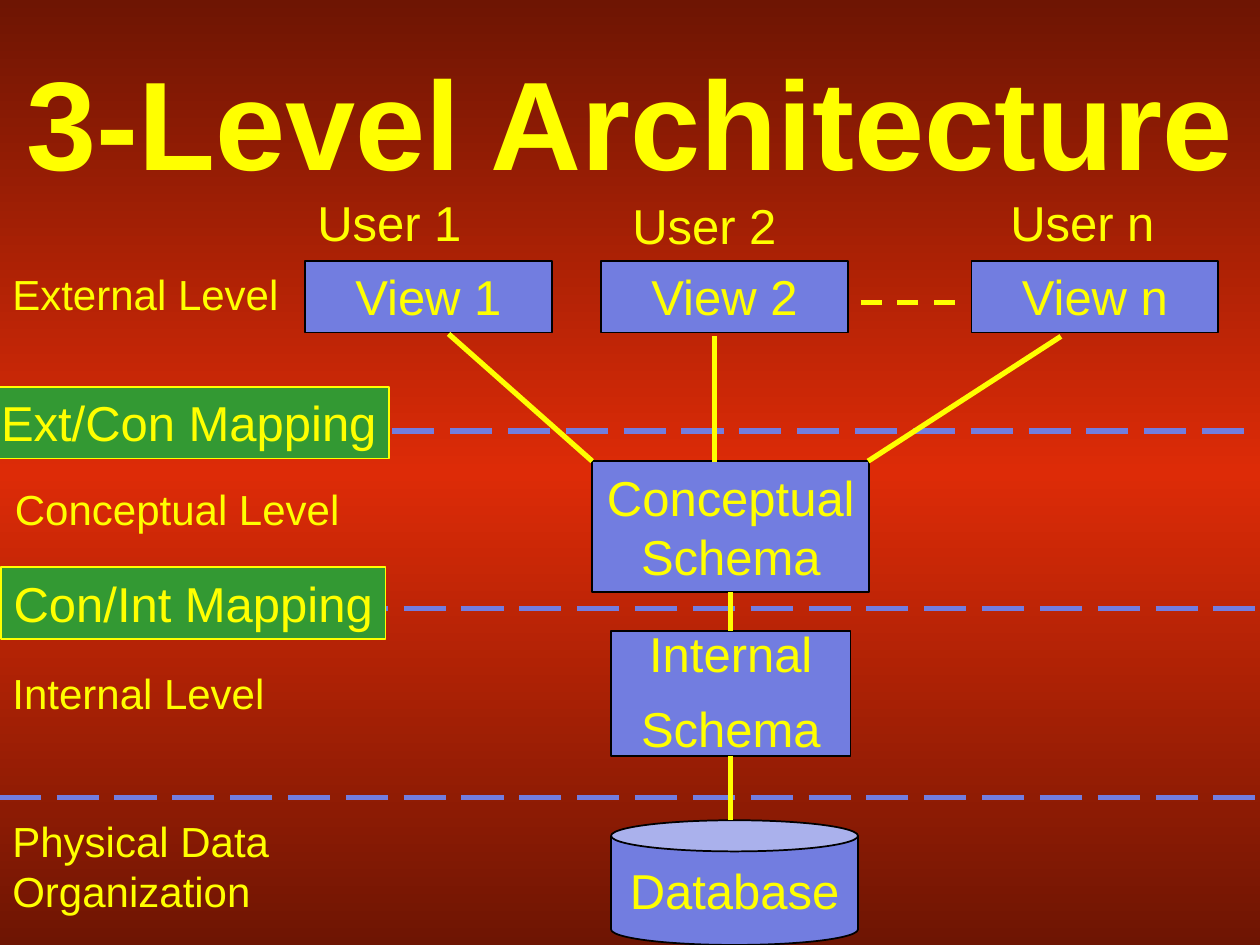
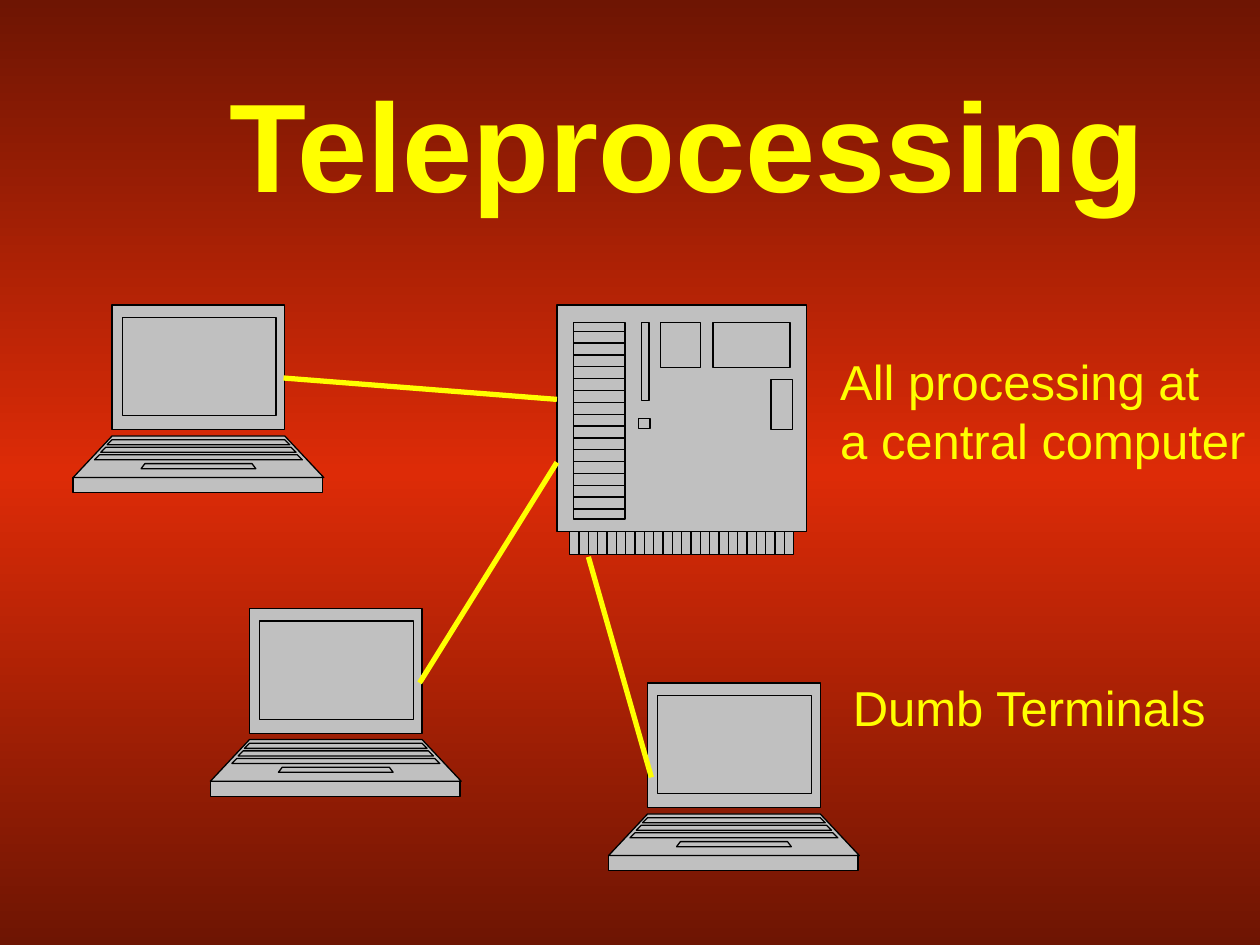
import copy
from dataclasses import dataclass

import lxml.etree
import pptx
import pptx.dml.color
import pptx.enum.dml
import pptx.enum.shapes
import pptx.enum.text
import pptx.oxml.ns
import pptx.util

Inches = pptx.util.Inches
Pt = pptx.util.Pt
RGB = pptx.dml.color.RGBColor.from_string
qn = pptx.oxml.ns.qn
Align = pptx.enum.text.PP_ALIGN
Anchor = pptx.enum.text.MSO_ANCHOR
Dash = pptx.enum.dml.MSO_LINE
Shape = pptx.enum.shapes.MSO_SHAPE


@dataclass(frozen=True)
class Theme:
    font: str = "Arial"
    edge: str = "6E1503"
    glow: str = "DD2B07"
    ink: str = "FFFF00"
    box: str = "727DE0"
    mapping: str = "339933"
    outline: str = "000000"
    device: str = "C0C0C0"
    title: int = 72
    body: int = 28
    level: int = 24
    rule: float = 3
    border: float = 1
    hairline: float = 0.75


THEME = Theme()


def set_background(master):
    fill = master.background.fill
    fill.gradient()
    fill.gradient_angle = 270
    stop_list = master.element.find(".//" + qn("a:gsLst"))
    stop_list.insert(1, copy.deepcopy(stop_list[0]))
    colors = (THEME.edge, THEME.glow, THEME.edge)
    for stop, position, color in zip(fill.gradient_stops, (0, 0.5, 1), colors):
        stop.position = position
        stop.color.rgb = RGB(color)


def write(tf, lines, size=THEME.body, align=Align.LEFT, anchor=Anchor.TOP,
          wrap=True, bold=False, spacing=None, gap=0):
    tf.auto_size = pptx.enum.text.MSO_AUTO_SIZE.NONE
    tf.word_wrap = wrap
    tf.vertical_anchor = anchor
    for i, line in enumerate(lines):
        p = tf.paragraphs[0] if i == 0 else tf.add_paragraph()
        p.text = line
        p.alignment = align
        p.line_spacing = spacing
        p.space_before = Pt(gap if i else 0)
        p.font.name = THEME.font
        p.font.size = Pt(size)
        p.font.bold = bold
        p.font.color.rgb = RGB(THEME.ink)


def add_titled_slide(prs, title, left, top, width):
    s = prs.slides.add_slide(prs.slide_layouts.get_by_name("Title Only"))
    sp = s.shapes.title
    sp.left, sp.top = Inches(left), Inches(top)
    sp.width, sp.height = Inches(width), Inches(1.25)
    write(sp.text_frame, [title], THEME.title, Align.CENTER, Anchor.MIDDLE, bold=True)
    return s


def add_label(s, lines, left, top, width, height=0.57, **text):
    sp = s.shapes.add_textbox(Inches(left), Inches(top), Inches(width), Inches(height))
    write(sp.text_frame, lines, **text)


def paint(sp, fill, line, weight):
    sp.shadow.inherit = False
    sp.fill.solid()
    sp.fill.fore_color.rgb = RGB(fill)
    sp.line.color.rgb = RGB(line)
    sp.line.width = Pt(weight)


def add_box(s, lines, left, top, width, height=0.57, kind=Shape.RECTANGLE,
            fill=THEME.box, line=THEME.outline, align=Align.CENTER, **text):
    sp = s.shapes.add_shape(kind, Inches(left), Inches(top), Inches(width), Inches(height))
    paint(sp, fill, line, THEME.border)
    write(sp.text_frame, lines, align=align, **text)
    return sp


def add_line(s, x1, y1, x2, y2, color=THEME.ink, dash=None):
    line = s.shapes.add_connector(
        pptx.enum.shapes.MSO_CONNECTOR.STRAIGHT,
        Inches(x1), Inches(y1), Inches(x2), Inches(y2))
    line.line.color.rgb = RGB(color)
    line.line.width = Pt(THEME.rule)
    if dash:
        line.line.dash_style = dash
    properties = line.element.find(qn("p:spPr"))
    lxml.etree.SubElement(properties, qn("a:effectLst"))
    return line


def rect(left, top, width, height):
    right, bottom = left + width, top + height
    return [(left, top), (right, top), (right, bottom), (left, bottom)]


def trapezoid(left, right, top, height, slant):
    bottom = top + height
    return [(left, top), (right, top), (right + slant, bottom), (left - slant, bottom)]


def add_outline(s, left, top, contours):
    builder = None
    for contour in contours:
        points = [(Inches(left + x), Inches(top + y)) for x, y in contour]
        if builder is None:
            builder = s.shapes.build_freeform(*points[0], scale=1.0)
        else:
            builder.move_to(*points[0])
        builder.add_line_segments(points[1:], close=True)
    paint(builder.convert_to_shape(), THEME.device, THEME.outline, THEME.hairline)


def add_terminal(s, left, top):
    case = [rect(0.31, 0, 1.37, 0.99),
            trapezoid(0.31, 1.68, 1.04, 0.33, 0.31),
            rect(0, 1.37, 1.98, 0.12)]
    key_rows = [trapezoid(0.31 - 0.05 * i, 1.68 + 0.05 * i, 1.07 + 0.06 * i, 0.04, 0.04)
                for i in range(3)]
    space_bar = trapezoid(0.57, 1.42, 1.26, 0.04, 0.03)
    add_outline(s, left, top, case)
    add_outline(s, left, top, [rect(0.39, 0.1, 1.22, 0.78), *key_rows, space_bar])


def add_central_computer(s, left, top):
    slot_edges = [0.14] + [0.21 + 0.094 * i for i in range(16)] + [1.7]
    slots = [rect(0.13, a, 0.41, b - a) for a, b in zip(slot_edges, slot_edges[1:])]
    pin = 1.78 / 24
    pins = [rect(0.1 + pin * i, 1.8, pin, 0.18) for i in range(24)]
    chips = [rect(0.67, 0.14, 0.06, 0.62), rect(0.65, 0.9, 0.09, 0.08),
             rect(0.82, 0.14, 0.32, 0.36), rect(1.24, 0.14, 0.61, 0.36),
             rect(1.7, 0.59, 0.17, 0.4)]
    add_outline(s, left, top, [rect(0, 0, 1.98, 1.8)])
    add_outline(s, left, top, slots + pins + chips)


def build_architecture(prs):
    s = add_titled_slide(prs, "3-Level Architecture", 0, 0.33, 10)
    for name, left, top, width, height in (
            ("External Level", 0, 2.08, 2.5, 0.5),
            ("Conceptual Level", 0.02, 3.79, 3, 0.5),
            ("Internal Level", 0, 5.25, 2.25, 0.5),
            ("Physical Data Organization", 0, 6.42, 3, 0.9)):
        add_label(s, [name], left, top, width, height, size=THEME.level)
    for left, right, y in ((-0.1, 10, 3.42), (-0.01, 10.08, 4.83), (-0.01, 10.08, 6.33)):
        add_line(s, left, y, right, y, THEME.box, Dash.LONG_DASH)
    for name, left, top, width in (("Ext/Con Mapping", -0.09, 3.07, 3.18),
                                   ("Con/Int Mapping", 0.01, 4.5, 3.05)):
        add_box(s, [name], left, top, width, fill=THEME.mapping, line=THEME.ink,
                align=Align.LEFT, wrap=False)

    for number, view_left, user_left, user_top in (
            ("1", 2.42, 2.42, 1.48), ("2", 4.77, 4.92, 1.5), ("n", 7.71, 7.92, 1.48)):
        add_box(s, [f"View {number}"], view_left, 2.07, 1.96)
        add_label(s, [f"User {number}"], user_left, user_top, 1.42)
    conceptual = add_box(s, ["Conceptual Schema"], 4.7, 3.66, 2.2, 1.04)
    internal = add_box(s, ["Internal", "Schema"], 4.85, 5.01, 1.9, 0.99,
                       spacing=0.75, gap=17.5)
    add_box(s, ["Database"], 4.85, 6.51, 1.96, 0.99, kind=Shape.CAN,
            anchor=Anchor.MIDDLE, wrap=False)

    add_line(s, 3.56, 2.65, 4.7, 3.66)
    add_line(s, 5.67, 2.67, 5.67, 3.67)
    add_line(s, 8.42, 2.67, 6.89, 3.66)
    add_line(s, 6.83, 2.4, 7.58, 2.4, dash=Dash.DASH)
    schema_link = add_line(s, 5.8, 4.7, 5.8, 5.01)
    schema_link.begin_connect(conceptual, 2)
    schema_link.end_connect(internal, 0)
    add_line(s, 5.8, 6, 5.8, 6.51).begin_connect(internal, 2)


def build_teleprocessing(prs):
    s = add_titled_slide(prs, "Teleprocessing", 1.33, 0.5, 8.25)
    add_central_computer(s, 4.42, 2.42)
    for left, top in ((0.58, 2.42), (1.67, 4.83), (4.83, 5.42)):
        add_terminal(s, left, top)
    for ends in ((4.42, 3.17, 2.25, 3), (4.42, 3.67, 3.33, 5.42), (4.67, 4.42, 5.17, 6.17)):
        add_line(s, *ends)
    add_label(s, ["All processing at", "a central computer"], 6.57, 2.74, 3.41, 1.04,
              wrap=False)
    add_label(s, ["Dumb Terminals"], 6.67, 5.33, 3.05, wrap=False)


def main():
    prs = pptx.Presentation()
    prs.slide_width, prs.slide_height = Inches(10), Inches(7.5)
    set_background(prs.slide_master)
    build_architecture(prs)
    build_teleprocessing(prs)
    prs.save("out.pptx")


if __name__ == "__main__":
    main()
